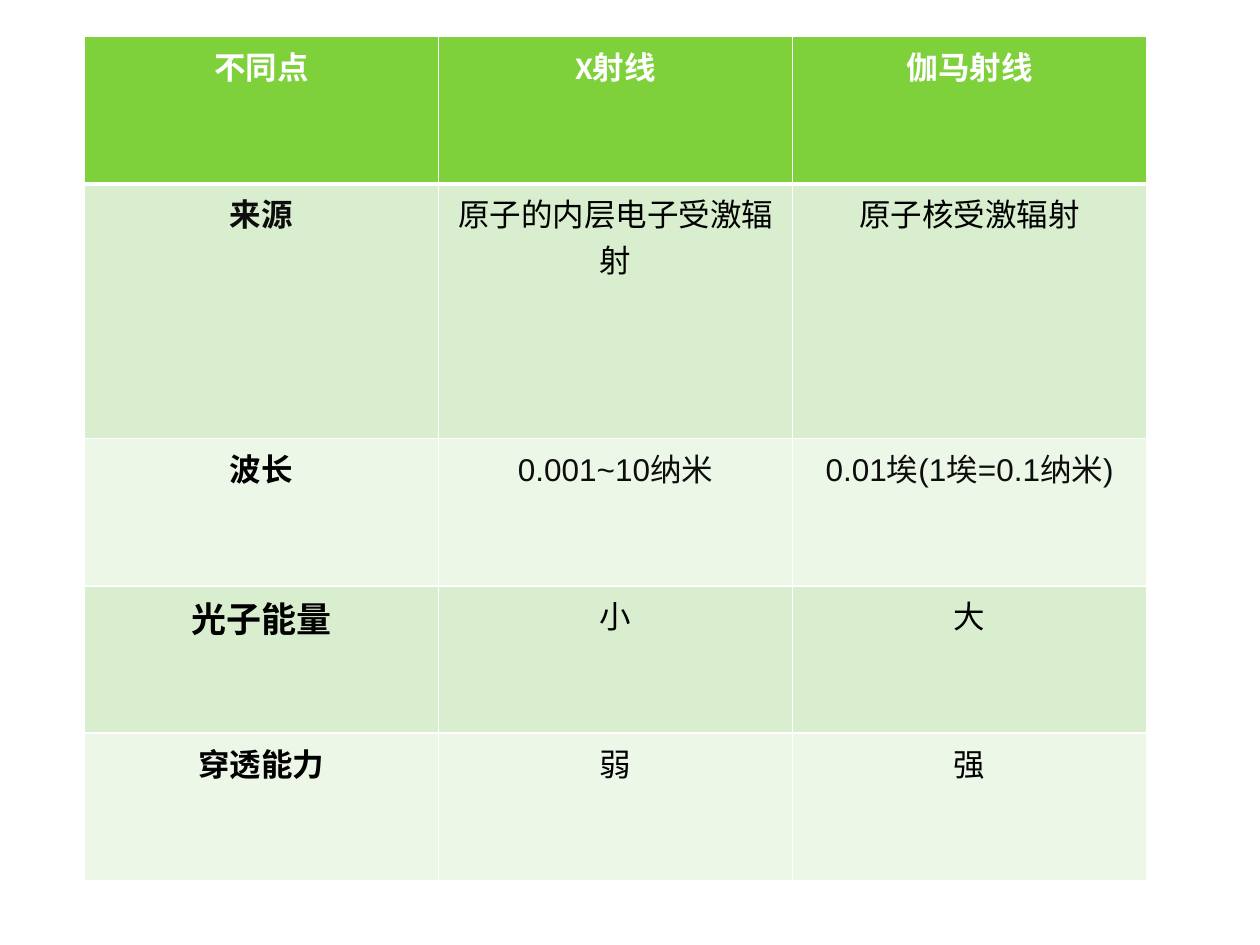
"""Build a slide with a table that compares X-rays and gamma rays."""
import dataclasses

import lxml.etree
import pptx
import pptx.dml.color
import pptx.enum.text
import pptx.oxml.ns
import pptx.table
import pptx.util

WHITE, BLACK, DARK = "FFFFFF", "000000", "0D0D0D"
GREEN, PALE, FAINT = "7FD13B", "D8EECE", "ECF7E8"
LEFT, TOP, WIDTH = 0.67, 0.29, 8.43


@dataclasses.dataclass
class Row:
    texts: tuple[str, str, str]
    fill: str
    height: float = 1.17
    head: str = BLACK
    body: str = BLACK
    font: str = "Calibri"
    size: int = 18


ROWS = [
    Row(("不同点", "X射线", "伽马射线"), GREEN, head=WHITE, body=WHITE),
    Row(("来源", "原子的内层电子受激辐射", "原子核受激辐射"), PALE, height=2.02, head=DARK),
    Row(("波长", "0.001~10纳米".replace("~", "~"), "0.01埃(1埃=0.1纳米)".replace("(", "(").replace(")", ")")),
        FAINT, body=DARK, font="Arial"),
    Row(("光子能量", "小", "大"), PALE, size=20),
    Row(("穿透能力", "弱", "强"), FAINT),
]


def shade(code: str) -> pptx.dml.color.RGBColor:
    return pptx.dml.color.RGBColor.from_string(code)


def edge(cell: pptx.table._Cell, side: str, width: float) -> None:
    tag = pptx.oxml.ns.qn
    line = lxml.etree.SubElement(cell._tc.get_or_add_tcPr(), tag(f"a:ln{side}"),
                                 w=str(pptx.util.Pt(width)))
    fill = lxml.etree.SubElement(line, tag("a:solidFill"))
    lxml.etree.SubElement(fill, tag("a:srgbClr"), val=WHITE)


def draw(cell: pptx.table._Cell, row: Row, rank: int, col: int) -> None:
    for side in "LRTB":
        thick = (rank, side) in ((0, "B"), (1, "T"))
        edge(cell, side, 3 if thick else 1)
    cell.fill.solid()
    cell.fill.fore_color.rgb = shade(row.fill)
    cell.text = row.texts[col]
    line = cell.text_frame.paragraphs[0]
    line.alignment = pptx.enum.text.PP_ALIGN.CENTER
    first = col == 0
    line.font.name = "Calibri" if first else row.font
    line.font.size = pptx.util.Pt(row.size if first else 18)
    line.font.bold = first or rank == 0
    line.font.color.rgb = shade(row.head if first else row.body)


def main() -> None:
    inch = pptx.util.Inches
    deck = pptx.Presentation()
    deck.slide_width, deck.slide_height = inch(10), inch(7.5)
    slide = deck.slides.add_slide(deck.slide_layouts[6])
    tall = sum(row.height for row in ROWS)
    table = slide.shapes.add_table(len(ROWS), 3, inch(LEFT), inch(TOP),
                                   inch(WIDTH), inch(tall)).table
    for rank, row in enumerate(ROWS):
        table.rows[rank].height = inch(row.height)
        for col in range(3):
            draw(table.cell(rank, col), row, rank, col)
    deck.save("out.pptx")


main()
